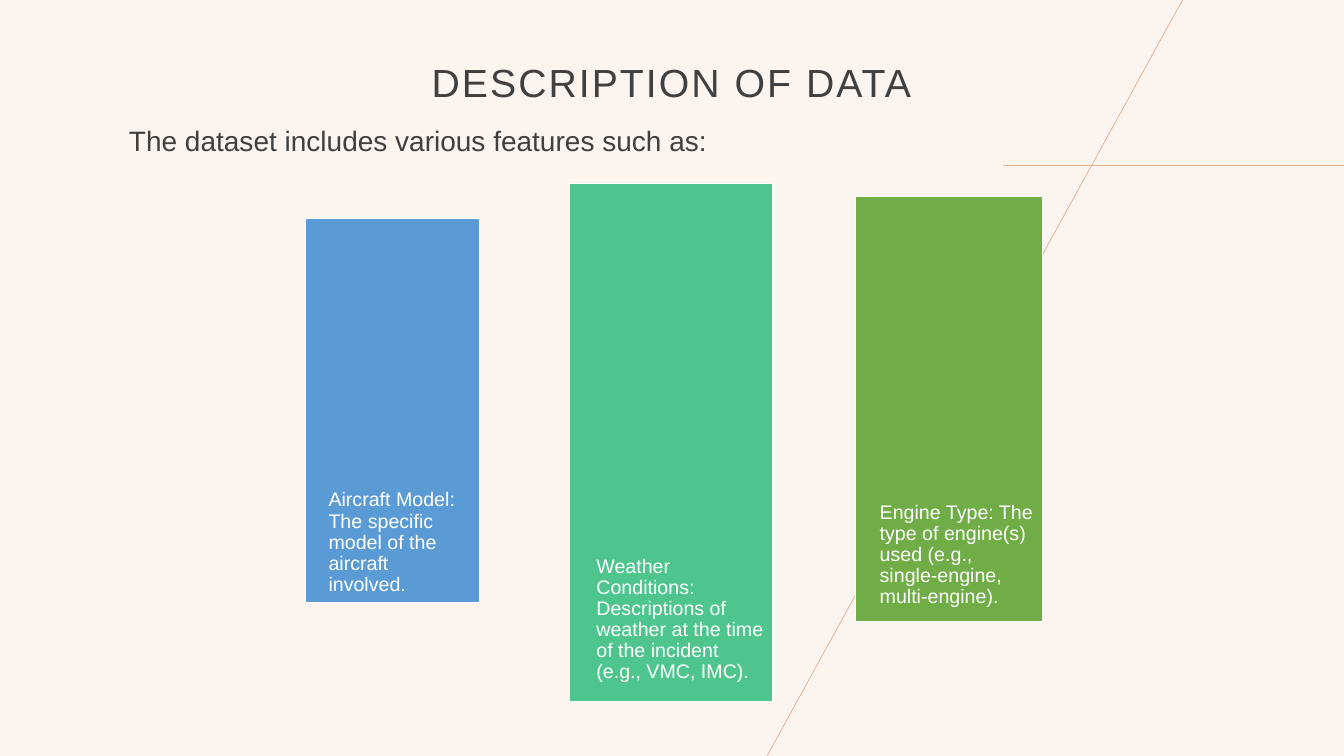
from lxml import etree
from pptx import Presentation
from pptx.dml.color import RGBColor
from pptx.enum.shapes import MSO_CONNECTOR, MSO_SHAPE
from pptx.enum.text import MSO_ANCHOR, PP_ALIGN
from pptx.oxml.ns import qn
from pptx.util import Cm, Pt

STRAIGHT = MSO_CONNECTOR.STRAIGHT
RECTANGLE = MSO_SHAPE.RECTANGLE
BOTTOM, MIDDLE, TOP = MSO_ANCHOR.BOTTOM, MSO_ANCHOR.MIDDLE, MSO_ANCHOR.TOP
CENTER, LEFT = PP_ALIGN.CENTER, PP_ALIGN.LEFT

FONT = "Arial"
COLORS = {
    "background": "FBF4EF",
    "accent": "E2B18D",
    "text": "404040",
    "white": "FFFFFF",
    "engine": "70AD47",
    "weather": "4DC58D",
    "aircraft": "5B9BD5",
}
WIDTH, HEIGHT = 33.87, 19.05
HEADING = "DESCRIPTION OF DATA"
INTRO = "The dataset includes various features such as:"
FEATURES = [
    {
        "color": "engine",
        "bar": (21.56, 4.95, 4.72, 10.72),
        "label": (22.02, 12.62, 4.27, 2.79),
        "text": "Engine Type: The type of engine(s) used (e.g., single-engine, multi-engine).",
    },
    {
        "color": "weather",
        "bar": (14.35, 4.62, 5.13, 13.06),
        "label": (14.88, 13.94, 4.6, 3.4),
        "text": "Weather Conditions: Descriptions of weather at the time of the incident (e.g., VMC, IMC).",
    },
    {
        "color": "aircraft",
        "bar": (7.7, 5.51, 4.39, 9.68),
        "label": (8.13, 12.45, 3.96, 2.51),
        "text": "Aircraft Model: The specific model of the aircraft involved.",
    },
]
ACCENT_LINES = [
    (25.27, 4.17, WIDTH, 4.17),
    (29.8, 0, 19.33, HEIGHT),
]


def rgb(name):
    return RGBColor.from_string(COLORS[name])


def lengths(values):
    return [Cm(value) for value in values]


def write(frame, text, size, color, anchor, align=LEFT, spacing=1.0):
    frame.text = text
    frame.word_wrap = True
    frame.vertical_anchor = anchor
    paragraph = frame.paragraphs[0]
    paragraph.alignment = align
    paragraph.line_spacing = spacing
    paragraph.space_before = Pt(0)
    font = paragraph.runs[0].font
    font.name, font.size, font.bold = FONT, Pt(size), False
    font.color.rgb = rgb(color)
    return font


def add_accent(slide, ends):
    line = slide.shapes.add_connector(STRAIGHT, *lengths(ends))
    line.line.color.rgb = rgb("accent")
    line.line.width = Pt(0.5)
    etree.SubElement(line._element.spPr, qn("a:effectLst"))


def add_feature(slide, feature):
    bar = slide.shapes.add_shape(RECTANGLE, *lengths(feature["bar"]))
    bar.shadow.inherit = False
    bar.fill.solid()
    bar.fill.fore_color.rgb = rgb(feature["color"])
    bar.line.color.rgb = rgb("white")
    bar.line.width = Pt(1)

    label = slide.shapes.add_textbox(*lengths(feature["label"])).text_frame
    label.margin_left, label.margin_top, label.margin_right, label.margin_bottom = lengths(
        (0.15, 0, 0.23, 0.05)
    )
    write(label, feature["text"], 14, "white", MIDDLE, spacing=0.9)


def main():
    deck = Presentation()
    deck.slide_width, deck.slide_height = Cm(WIDTH), Cm(HEIGHT)
    slide = deck.slides.add_slide(deck.slide_layouts[5])
    slide.background.fill.solid()
    slide.background.fill.fore_color.rgb = rgb("background")

    for ends in ACCENT_LINES:
        add_accent(slide, ends)

    title = slide.shapes.title
    title.left, title.top, title.width, title.height = lengths((5.23, 0.94, 23.39, 1.85))
    title_font = write(title.text_frame, HEADING, 28, "text", BOTTOM, CENTER, 0.9)
    title_font._element.set("spc", "150")

    intro = slide.shapes.add_textbox(*lengths((3, 3, 27.89, 2.11)))
    write(intro.text_frame, INTRO, 20, "text", TOP)

    for feature in FEATURES:
        add_feature(slide, feature)

    deck.save("out.pptx")


if __name__ == "__main__":
    main()
